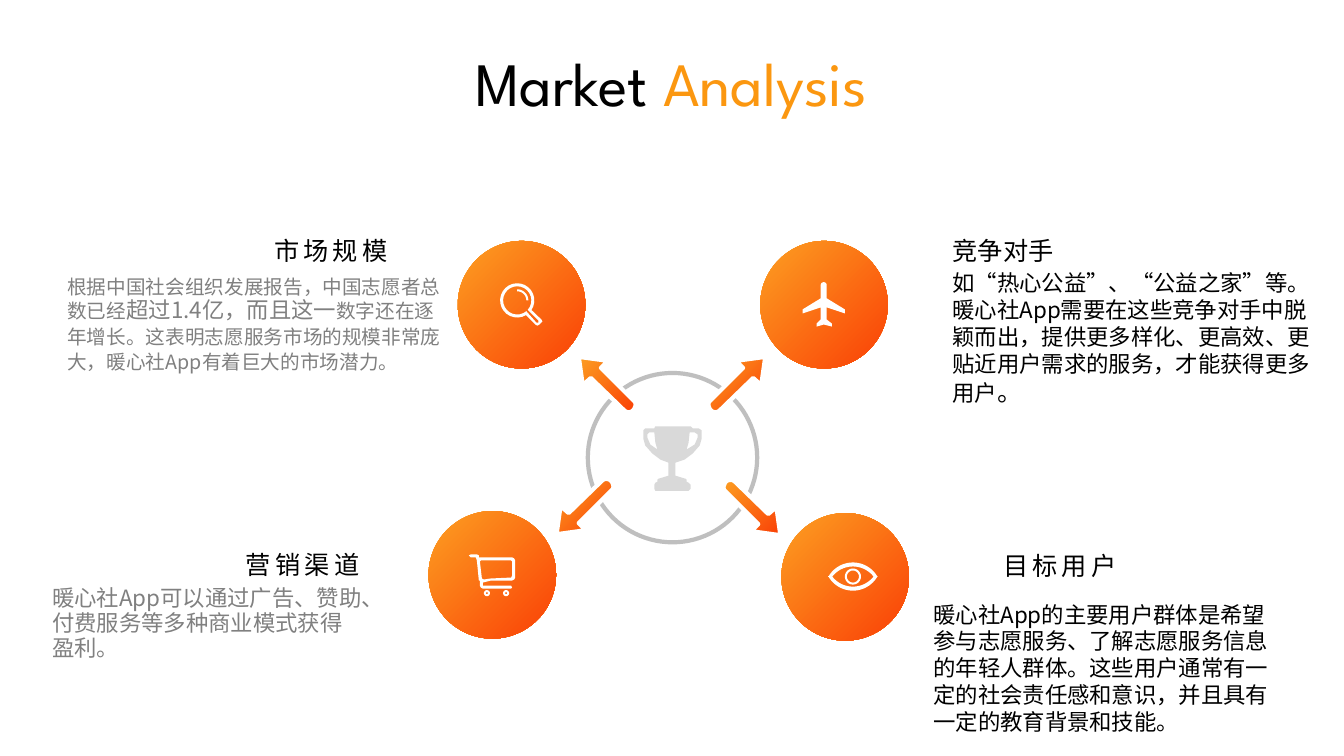
from math import cos, radians, sin

from lxml.etree import SubElement
from pptx import Presentation
from pptx.dml.color import RGBColor
from pptx.enum.shapes import MSO_SHAPE
from pptx.enum.text import MSO_ANCHOR, MSO_AUTO_SIZE, PP_ALIGN
from pptx.oxml.ns import qn
from pptx.util import Inches, Pt

CJK = "Noto Sans CJK SC"


def rgb(color):
    return RGBColor.from_string(color)


def arc(cx, cy, r, start, end, steps=24):
    angles = [radians(start + (end - start) * i / steps) for i in range(steps + 1)]
    return [(cx + r * cos(a), cy + r * sin(a)) for a in angles]


def circle(cx, cy, r):
    return arc(cx, cy, r, 0, 360)


def lens(cx, cy, r, lift, edge):
    return (arc(cx, cy + lift, r, 180 + edge, 360 - edge)
            + arc(cx, cy - lift, r, edge, 180 - edge))


class Deck:
    """Hold the style and current slide and draw its elements."""

    ORANGE = ("FC9F22", "FA4006")

    def __init__(self):
        self.prs = Presentation()
        self.prs.slide_width, self.prs.slide_height = Inches(13.33), Inches(7.5)
        self.s = self.prs.slides.add_slide(self.prs.slide_layouts[6])

    def paint(self, sp, fill, line=None, width=3):
        sp.shadow.inherit = False
        if fill == self.ORANGE:
            sp.fill.gradient()
            sp.fill.gradient_angle = 315
            for stop, color in zip(sp.fill.gradient_stops, fill):
                stop.color.rgb = rgb(color)
        else:
            sp.fill.solid()
            sp.fill.fore_color.rgb = rgb(fill)
        if line:
            sp.line.color.rgb = rgb(line)
            sp.line.width = Pt(width)
        else:
            sp.line.fill.background()

    def disc(self, x, y, d, fill, line=None):
        sp = self.s.shapes.add_shape(MSO_SHAPE.OVAL, *map(Inches, (x, y, d, d)))
        self.paint(sp, fill, line)

    def outline(self, contours, fill="FFFFFF", line=None):
        builder = None
        for contour in contours:
            start, *rest = [(Inches(x), Inches(y)) for x, y in contour]
            if builder is None:
                builder = self.s.shapes.build_freeform(*start)
            else:
                builder.move_to(*start)
            builder.add_line_segments(rest, close=True)
        self.paint(builder.convert_to_shape(), fill, line)

    def arrow(self, x, y, sx, sy):
        half = [(0, 0), (.04, .28), (.12, .21), (.45, .53), (.47, .545), (.5, .55),
                (.53, .54), (.55, .52), (.565, .48), (.56, .45), (.54, .43),
                (.22, .11), (.29, .04)]
        self.outline([[(x + sx * dx, y + sy * dy) for dx, dy in half]],
                     self.ORANGE, "FFFFFF")

    def text(self, x, y, w, h, runs, size, color="000000", font=CJK,
             spacing=None, tracking=None, wrap=True, title=False):
        tf = self.s.shapes.add_textbox(*map(Inches, (x, y, w, h))).text_frame
        tf.word_wrap = wrap
        tf.auto_size = MSO_AUTO_SIZE.NONE if title else MSO_AUTO_SIZE.SHAPE_TO_FIT_TEXT
        p = tf.paragraphs[0]
        if title:
            tf.vertical_anchor = MSO_ANCHOR.MIDDLE
            p.alignment = PP_ALIGN.CENTER
        if spacing:
            p.line_spacing = spacing
        p.font.size, p.font.name = Pt(size), font
        p.font.color.rgb = rgb(color)
        props = p._p.pPr.find(qn("a:defRPr"))
        SubElement(props, qn("a:ea")).set("typeface", CJK)
        if tracking:
            props.set("spc", str(tracking * 100))
        for content, run_size, run_color in runs:
            r = p.add_run()
            r.text = content
            if run_size:
                r.font.size = Pt(run_size)
            if run_color:
                r.font.color.rgb = rgb(run_color)

    def heading(self, x, y, content):
        self.text(x, y, 1.38, .4, [(content, None, None)], 18, tracking=3, wrap=False)


TROPHY = [
    [(6.93, 4.25), (6.87, 4.25), (6.85, 4.23), (6.5, 4.23), (6.49, 4.25), (6.4, 4.25),
     (6.38, 4.27), (6.38, 4.35), (6.4, 4.42), (6.47, 4.5), (6.55, 4.56), (6.63, 4.59),
     (6.63, 4.72), (6.53, 4.75), (6.52, 4.76), (6.52, 4.78), (6.5, 4.79), (6.49, 4.81),
     (6.49, 4.85), (6.5, 4.87), (6.83, 4.87), (6.85, 4.85), (6.85, 4.81), (6.83, 4.79),
     (6.81, 4.78), (6.81, 4.76), (6.8, 4.75), (6.7, 4.72), (6.7, 4.59), (6.79, 4.56),
     (6.87, 4.5), (6.94, 4.42), (6.96, 4.35), (6.96, 4.27)],
    [(6.42, 4.34), (6.42, 4.31), (6.44, 4.29), (6.49, 4.29), (6.5, 4.39), (6.52, 4.46),
     (6.45, 4.41)],
    [(6.92, 4.34), (6.89, 4.41), (6.81, 4.46), (6.83, 4.39), (6.84, 4.29), (6.89, 4.29),
     (6.92, 4.31)],
]
CART = [
    [(5.08, 5.57), (5.07, 5.56), (4.77, 5.56), (4.76, 5.57), (4.78, 5.74), (4.8, 5.75),
     (4.86, 5.74), (5.07, 5.73), (5.08, 5.71)],
    [(5.08, 5.76), (4.87, 5.76), (4.79, 5.78), (4.79, 5.81), (5.07, 5.81), (5.08, 5.83),
     (5.07, 5.84), (4.79, 5.84), (4.77, 5.83), (4.76, 5.81), (4.76, 5.76), (4.75, 5.76),
     (4.73, 5.56), (4.72, 5.53), (4.67, 5.53), (4.65, 5.51), (4.67, 5.5), (4.73, 5.5),
     (4.75, 5.51), (4.75, 5.53), (5.08, 5.53), (5.1, 5.54), (5.11, 5.56), (5.11, 5.73),
     (5.1, 5.75)],
] + [circle(cx, 5.885, r) for cx in (4.83, 5.02) for r in (.03, .01)]
PLANE = [arc(8.17, 2.83, .03, 180, 360) + [
    (8.2, 2.96), (8.38, 3.07), (8.38, 3.11), (8.2, 3.05), (8.2, 3.17), (8.25, 3.21),
    (8.25, 3.24), (8.17, 3.22), (8.1, 3.24), (8.1, 3.21), (8.14, 3.17), (8.14, 3.05),
    (7.96, 3.11), (7.96, 3.07), (8.14, 2.96)]]
MAGNIFIER = [
    arc(5.13, 2.98, .17, 59, 394) + [(5.37, 3.17), (5.38, 3.19), (5.35, 3.22),
                                     (5.33, 3.23), (5.31, 3.22)],
    arc(5.13, 2.98, .14, 50, 402) + [(5.34, 3.18), (5.34, 3.2), (5.32, 3.2)],
    arc(5.13, 2.98, .11, -90, 0) + arc(5.13, 2.98, .09, 0, -90),
]
EYE = [lens(8.46, 5.72, .28, .14, 29), lens(8.46, 5.72, .26, .16, 37),
       circle(8.46, 5.72, .08), circle(8.46, 5.72, .06)]


def main():
    deck = Deck()
    deck.disc(5.83, 3.7, 1.68, "FFFFFF", "BFBFBF")
    deck.outline(TROPHY, "D9D9D9")
    for x, y in ((4.54, 2.39), (4.25, 5.07), (7.54, 2.39), (7.75, 5.09)):
        deck.disc(x, y, 1.265, deck.ORANGE)
    for tip in ((5.52, 5.3, 1, -1), (5.74, 3.54, 1, 1),
                (7.74, 5.31, -1, -1), (7.59, 3.54, -1, 1)):
        deck.arrow(*tip)
    for icon in (CART, PLANE, MAGNIFIER, EYE):
        deck.outline(icon)

    deck.text(.57, 2.66, 3.97, 1.08, [
        ("根据中国社会组织发展报告，中国志愿者总数已经", None, None),
        ("超过1.4亿，而且这一", 16, None),
        ("数字还在逐年增长。这表明志愿服务市场的规模非常庞大，暖心社App有着巨大的市场潜力。",
         None, None)], 14, "808080", spacing=Pt(18))
    deck.text(.42, 5.76, 3.28, .86, [
        ("暖心社App可以通过广告、赞助、付费服务等多种商业模式获得盈利。", None, None)],
        16, "808080", spacing=Pt(18))
    deck.text(.56, .5, 12.2, .72, [("Market ", None, None), ("Analysis", None, "FB9710")],
              44, font="League Spartan", spacing=.9, title=True)
    for x, y, content in ((2.62, 2.29, "市场规模"), (2.34, 5.4, "营销渠道"),
                          (9.85, 5.41, "目标用户")):
        deck.heading(x, y, content)
    deck.text(9.35, 2.29, 1.61, .4, [("竞争对手", None, None)], 18, font="Lato")
    deck.text(9.35, 2.62, 3.91, 1.48, [
        ("如“热心公益”、“公益之家”等。暖心社App需要在这些竞争对手中脱颖而出，"
         "提供更多样化、更高效、更贴近用户需求的服务，才能获得更多用户", None, None),
        ("。", 18, None)], 16)
    deck.text(9.16, 5.91, 3.56, 1.45, [
        ("暖心社App的主要用户群体是希望参与志愿服务、了解志愿服务信息的年轻人群体。"
         "这些用户通常有一定的社会责任感和意识，并且具有一定的教育背景和技能。", None, None)], 16)
    deck.prs.save("out.pptx")


if __name__ == "__main__":
    main()
